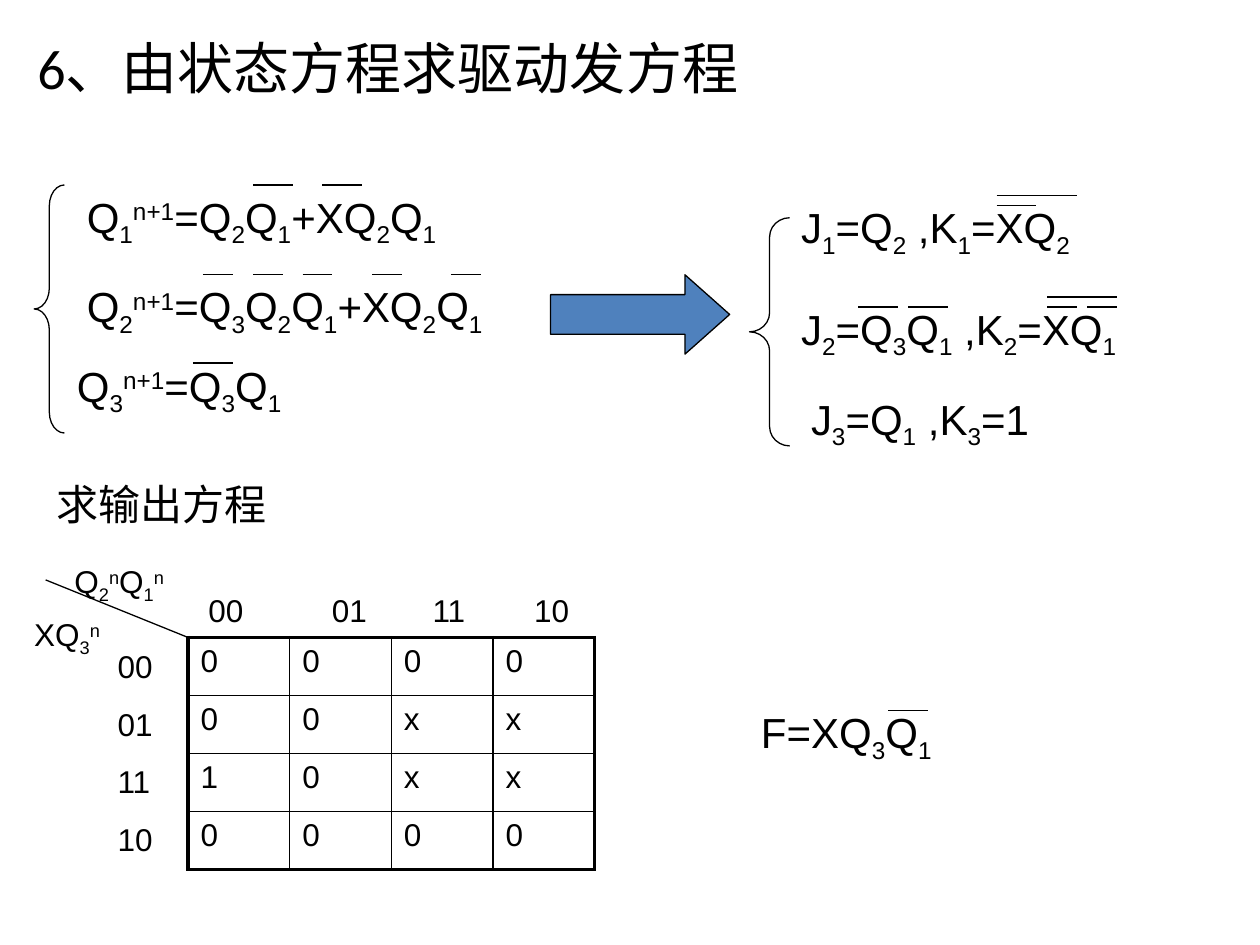
import dataclasses

import lxml.etree
import pptx
import pptx.dml.color
import pptx.enum.shapes
import pptx.enum.text
import pptx.oxml.ns
import pptx.util

Cm = pptx.util.Cm
Pt = pptx.util.Pt
Shapes = pptx.enum.shapes.MSO_SHAPE
qn = pptx.oxml.ns.qn


@dataclasses.dataclass(frozen=True)
class Theme:
    ink: str = "000000"
    arrow: str = "4F81BD"
    title_font: str = "Calibri"
    body_font: str = "Arial"
    title_size: float = 32
    formula_size: float = 24
    map_size: float = 18
    thin: float = 0.75
    grid: float = 1
    frame: float = 2.25


THEME = Theme()
BASELINES = {"_": "-25000", "^": "30000"}
NO_INSETS = dict.fromkeys(("margin_left", "margin_top", "margin_right", "margin_bottom"), 0)


def color(value):
    return pptx.dml.color.RGBColor.from_string(value)


def apply_format(target, values):
    for name, value in values.items():
        setattr(target, name, value)


def write(paragraph, markup, size, font_name=THEME.body_font):
    for token in markup.split("|"):
        baseline = BASELINES.get(token[0])
        run = paragraph.add_run()
        run.text = token[1:] if baseline else token
        apply_format(run.font, {"size": Pt(size), "name": font_name, "bold": False})
        run.font.color.rgb = color(THEME.ink)
        if baseline:
            run._r.get_or_add_rPr().set("baseline", baseline)


def add_text(slide, left, top, width, height, markup, size, frame_format=None):
    box = slide.shapes.add_textbox(Cm(left), Cm(top), Cm(width), Cm(height))
    apply_format(box.text_frame, {"word_wrap": True, **(frame_format or {})})
    write(box.text_frame.paragraphs[0], markup, size)


def add_line(slide, start_x, start_y, end_x, end_y):
    line = slide.shapes.add_connector(
        pptx.enum.shapes.MSO_CONNECTOR.STRAIGHT, Cm(start_x), Cm(start_y), Cm(end_x), Cm(end_y))
    line.line.width = Pt(THEME.thin)
    line.line.color.rgb = color(THEME.ink)
    lxml.etree.SubElement(line._element.spPr, qn("a:effectLst"))


def add_outline(slide, kind, left, top, width, height, adjustments, fill=None):
    shape = slide.shapes.add_shape(kind, Cm(left), Cm(top), Cm(width), Cm(height))
    shape.shadow.inherit = False
    for index, value in enumerate(adjustments):
        shape.adjustments[index] = value
    if fill:
        shape.fill.solid()
        shape.fill.fore_color.rgb = color(fill)
    else:
        shape.fill.background()
    shape.line.width = Pt(THEME.thin)
    shape.line.color.rgb = color(THEME.ink)


def add_formula(slide, left, top, width, markup, bars=()):
    add_text(slide, left, top, width, 1.27, markup, THEME.formula_size)
    for bar_left, bar_top, length in bars:
        add_line(slide, left + bar_left, top + bar_top, left + bar_left + length, top + bar_top)


def add_title(slide, left, top, width, height):
    title = slide.shapes.title
    apply_format(title, {"left": Cm(left), "top": Cm(top), "width": Cm(width), "height": Cm(height)})
    apply_format(title.text_frame, {
        "vertical_anchor": pptx.enum.text.MSO_ANCHOR.TOP,
        "auto_size": pptx.enum.text.MSO_AUTO_SIZE.NONE,
        "word_wrap": True,
    })
    paragraph = title.text_frame.paragraphs[0]
    apply_format(paragraph, {"alignment": pptx.enum.text.PP_ALIGN.LEFT, "line_spacing": 0.9})
    write(paragraph, "6、由状态方程求驱动发方程", THEME.title_size, THEME.title_font)


def add_state_equations(slide, left, top):
    add_outline(slide, Shapes.LEFT_BRACE, left, top, 0.61, 5, (0.69, 0.5))
    add_formula(slide, left + 0.81, top, 10.2, "Q|_1|^n+1|=Q|_2|Q|_1|+XQ|_2|Q|_1",
                [(x, 0, 0.8) for x in (3.61, 5)])
    add_formula(slide, left + 0.81, top + 1.81, 9, "Q|_2|^n+1|=Q|_3|Q|_2|Q|_1|+XQ|_2|Q|_1",
                [(x, 0, 0.6) for x in (2.59, 3.61, 4.6, 6, 7.59)])
    add_formula(slide, left + 0.61, top + 3.41, 6.8, "Q|_3|^n+1|=Q|_3|Q|_1", [(2.59, 0.18, 0.8)])


def add_drive_equations(slide, left, top):
    add_outline(slide, Shapes.LEFT_BRACE, left, top + 0.45, 0.81, 4.6, (0.478, 0.5))
    add_formula(slide, left + 0.79, top, 8, "J|_1|=Q|_2| ,K|_1|=XQ|_2",
                [(4.19, 0.2, 0.8), (4.19, 0, 1.63)])
    add_formula(slide, left + 0.79, top + 2.05, 8, "J|_2|=Q|_3|Q|_1| ,K|_2|=XQ|_1",
                [(1.4, 0.2, 0.8), (2.41, 0.2, 0.8), (5.21, 0.2, 0.6), (6.02, 0.2, 0.6), (5.21, 0, 1.4)])
    add_formula(slide, left + 0.99, top + 3.86, 5.2, "J|_3|=Q|_1| ,K|_3|=1")


def set_borders(cell, widths):
    properties = cell._tc.get_or_add_tcPr()
    for index, (side, width) in enumerate(widths.items()):
        border = lxml.etree.Element(qn("a:" + side), w=str(Pt(width)))
        fill = lxml.etree.SubElement(border, qn("a:solidFill"))
        lxml.etree.SubElement(fill, qn("a:srgbClr"), val=THEME.ink)
        properties.insert(index, border)


def add_map_table(slide, left, top, width, height, values):
    row_count, column_count = len(values), len(values[0])
    table = slide.shapes.add_table(
        row_count, column_count, Cm(left), Cm(top), Cm(width), Cm(height)).table
    apply_format(table, {"first_row": False, "horz_banding": False})
    for row, line in enumerate(values):
        for column, value in enumerate(line):
            cell = table.cell(row, column)
            cell.fill.background()
            write(cell.text_frame.paragraphs[0], value, THEME.map_size)
            outer = {"lnL": column == 0, "lnR": column == column_count - 1,
                     "lnT": row == 0, "lnB": row == row_count - 1}
            set_borders(cell, {side: THEME.frame if edge else THEME.grid for side, edge in outer.items()})


def add_karnaugh_map(slide, left, top):
    table_left, table_top = left + 3.1, top + 1.52
    add_map_table(slide, table_left, table_top, 8.2, 4.68, ["0000", "00xx", "10xx", "0000"])
    add_line(slide, left + 0.23, top + 0.36, table_left, table_top)
    codes = ("00", "01", "11", "10")
    labels = [(left, top + 1.07, 1.63, "XQ|_3|^n"), (left + 0.81, top, 2, "Q|_2|^n|Q|_1|^n")]
    labels += [(left + 1.68, table_top + 0.2 + 1.16 * row, 1.17, code) for row, code in enumerate(codes)]
    labels += [(table_left + offset, table_top - 0.94, 1.1, code)
               for offset, code in zip((0.41, 2.9, 4.93, 6.98), codes)]
    for label_left, label_top, width, markup in labels:
        add_text(slide, label_left, label_top, width, 0.76, markup, THEME.map_size, NO_INSETS)


def main():
    presentation = pptx.Presentation()
    apply_format(presentation, {"slide_width": Cm(25.4), "slide_height": Cm(19.05)})
    slide = presentation.slides.add_slide(presentation.slide_layouts.get_by_name("Title Only"))
    add_title(slide, 0.5, 0.7, 22.86, 1.6)
    add_state_equations(slide, 0.69, 3.73)
    add_outline(slide, Shapes.RIGHT_ARROW, 11.1, 5.54, 3.61, 1.6, (0.5, 0.563), THEME.arrow)
    add_drive_equations(slide, 15.11, 3.94)
    add_formula(slide, 0.89, 9.53, 14.2, "求输出方程")
    add_karnaugh_map(slide, 0.69, 11.33)
    add_formula(slide, 15.09, 14.12, 4.2, "F=XQ|_3|Q|_1", [(2.82, 0.2, 0.8)])
    presentation.save("out.pptx")


if __name__ == "__main__":
    main()
